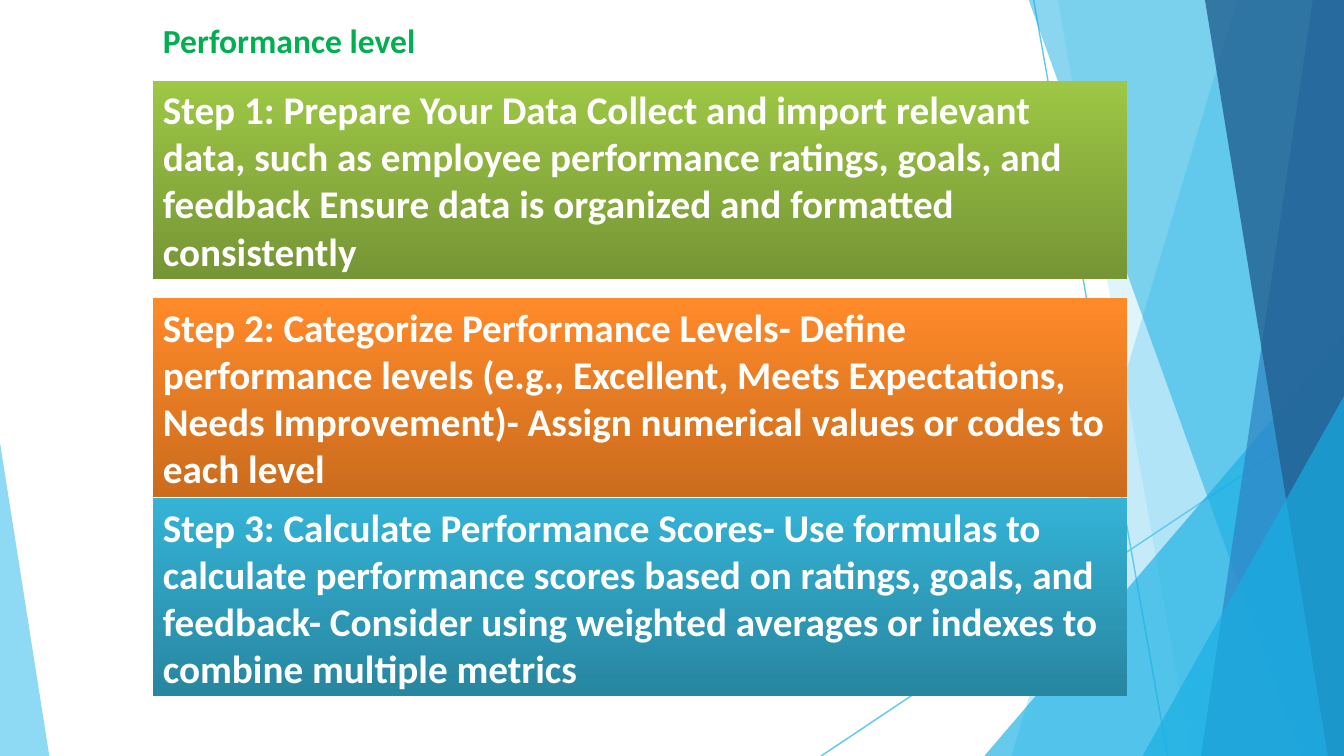
from lxml.etree import SubElement
from pptx import Presentation
from pptx.dml.color import RGBColor
from pptx.enum.shapes import MSO_CONNECTOR, MSO_SHAPE
from pptx.enum.text import MSO_ANCHOR, PP_ALIGN
from pptx.oxml.ns import qn
from pptx.util import Inches, Pt

COLORS = {
    "sky": "5FCAEE", "cyan": "17AFE3", "blue": "2D83C3", "navy": "226192",
    "title": "00B050", "white": "FFFFFF",
    "green_top": "9DC745", "green_end": "769535",
    "orange_top": "FF8A29", "orange_end": "CB6C1D",
    "teal_top": "34B3D6", "teal_end": "2786A0",
}


class SlideBuilder:
    """Draws on one slide; all lengths are percentages of its size."""

    font = "Calibri"

    def __init__(self, prs):
        self.width, self.height = prs.slide_width, prs.slide_height
        self.shapes = prs.slides.add_slide(prs.slide_layouts[6]).shapes

    def point(self, x, y):
        return round(self.width * x / 100), round(self.height * y / 100)

    def color(self, name):
        return RGBColor.from_string(COLORS[name])

    def line(self, start, end, color):
        cxn = self.shapes.add_connector(
            MSO_CONNECTOR.STRAIGHT, *self.point(*start), *self.point(*end))
        cxn.line.color.rgb = self.color(color)
        cxn.line.width = Pt(1)
        SubElement(cxn._element.spPr, qn("a:effectLst"))

    def facet(self, points, color, opacity):
        """Add a translucent polygon; opacity is in percent."""
        first, *rest = [self.point(*pt) for pt in points]
        builder = self.shapes.build_freeform(*first)
        builder.add_line_segments(rest, close=True)
        sp = builder.convert_to_shape()
        sp.shadow.inherit = False
        sp.line.fill.background()
        sp.fill.solid()
        sp.fill.fore_color.rgb = self.color(color)
        rgb = sp._element.spPr.find(qn("a:solidFill")).find(qn("a:srgbClr"))
        SubElement(rgb, qn("a:alpha"), val=str(opacity * 1000))

    def add_text(self, sp, text, size, color):
        tf = sp.text_frame
        tf.word_wrap = True
        tf.vertical_anchor = MSO_ANCHOR.TOP
        p = tf.paragraphs[0]
        p.alignment = PP_ALIGN.LEFT
        r = p.add_run()
        r.text = text
        r.font.name, r.font.size, r.font.bold = self.font, Pt(size), True
        r.font.color.rgb = self.color(color)

    def title(self, x, y, w, h, text):
        sp = self.shapes.add_textbox(*self.point(x, y), *self.point(w, h))
        self.add_text(sp, text, 24, "title")

    def card(self, x, y, w, h, hue, text):
        sp = self.shapes.add_shape(
            MSO_SHAPE.RECTANGLE, *self.point(x, y), *self.point(w, h))
        sp.shadow.inherit = False
        sp.line.fill.background()
        sp.fill.gradient()
        sp.fill.gradient_angle = 270
        stops = zip(sp.fill.gradient_stops, ("top", "end"))
        for position, (stop, part) in enumerate(stops):
            stop.color.rgb = self.color(f"{hue}_{part}")
            stop.position = position
        self.add_text(sp, text, 28, "white")


def slab(top_x, bottom_x):
    """Outline from a slanted left edge to the slide's right edge."""
    return [(100, 0), (top_x, 0), (bottom_x, 100), (100, 100)]


def corner(y, x):
    """Triangle in the slide's bottom right corner."""
    return [(100, y), (x, 100), (100, 100)]


FACETS = [
    (slab(92.05, 75.26), "sky", 36),
    (slab(78.71, 88.61), "sky", 20),
    (corner(44.4, 73.24), "cyan", 66),
    (slab(76.54, 96.78), "cyan", 50),
    (slab(97.68, 89.36), "blue", 70),
    (slab(89.66, 98.8), "navy", 80),
    (corner(52.4, 85.01), "cyan", 66),
    ([(0, 58.53), (0, 100), (3.67, 100)], "sky", 70),
]

STEPS = [
    (10.67, "green", "Step 1: Prepare Your Data Collect and import relevant data, "
     "such as employee performance ratings, goals, and feedback Ensure data is "
     "organized and formatted consistently"),
    (39.47, "orange", "Step 2: Categorize Performance Levels- Define performance "
     "levels (e.g., Excellent, Meets Expectations, Needs Improvement)- Assign "
     "numerical values or codes to each level"),
    (65.87, "teal", "Step 3: Calculate Performance Scores- Use formulas to calculate "
     "performance scores based on ratings, goals, and feedback- Consider using "
     "weighted averages or indexes to combine multiple metrics"),
]
LEFT = 11.39


def main():
    prs = Presentation()
    prs.slide_width, prs.slide_height = Inches(13.34), Inches(7.5)
    slide = SlideBuilder(prs)
    slide.line((76.91, 0), (86.88, 100), "sky")
    slide.line((100, 53.87), (61.09, 100), "sky")
    for points, color, opacity in FACETS:
        slide.facet(points, color, opacity)
    for top, hue, text in STEPS:
        slide.card(LEFT, top, 72.49, 26.27, hue, text)
    slide.title(LEFT, 2, 50, 6.67, "Performance level")
    prs.save("out.pptx")


if __name__ == "__main__":
    main()
